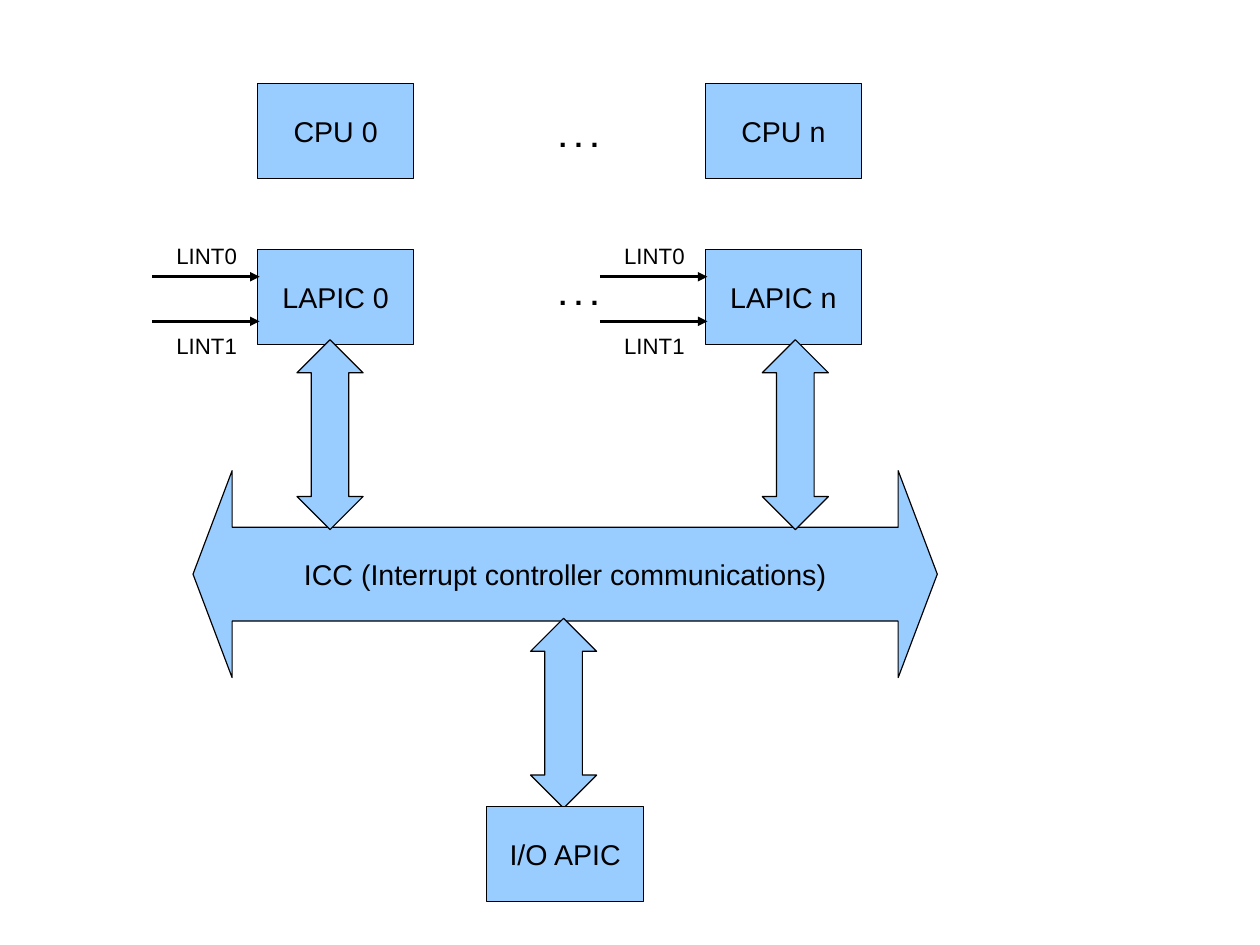
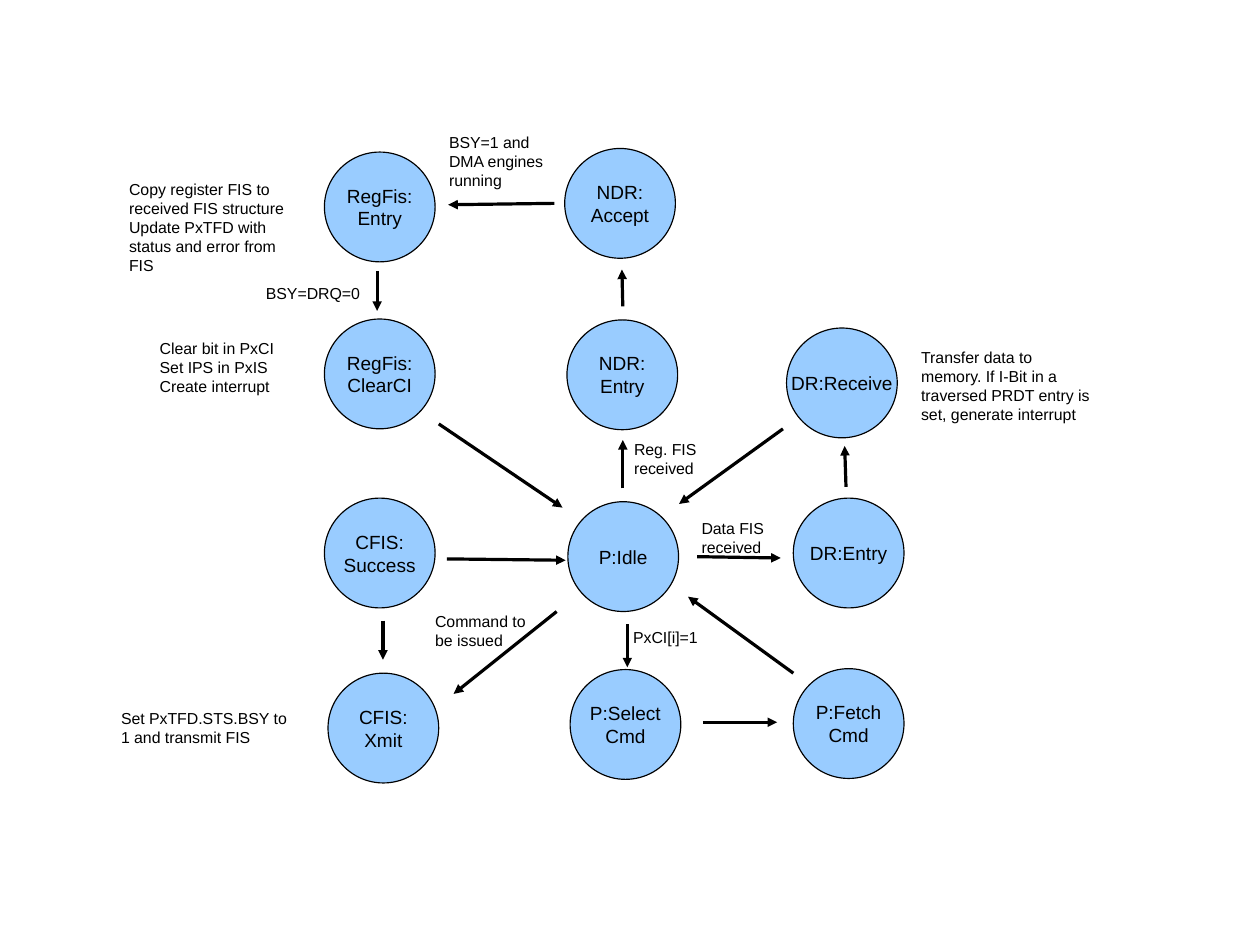
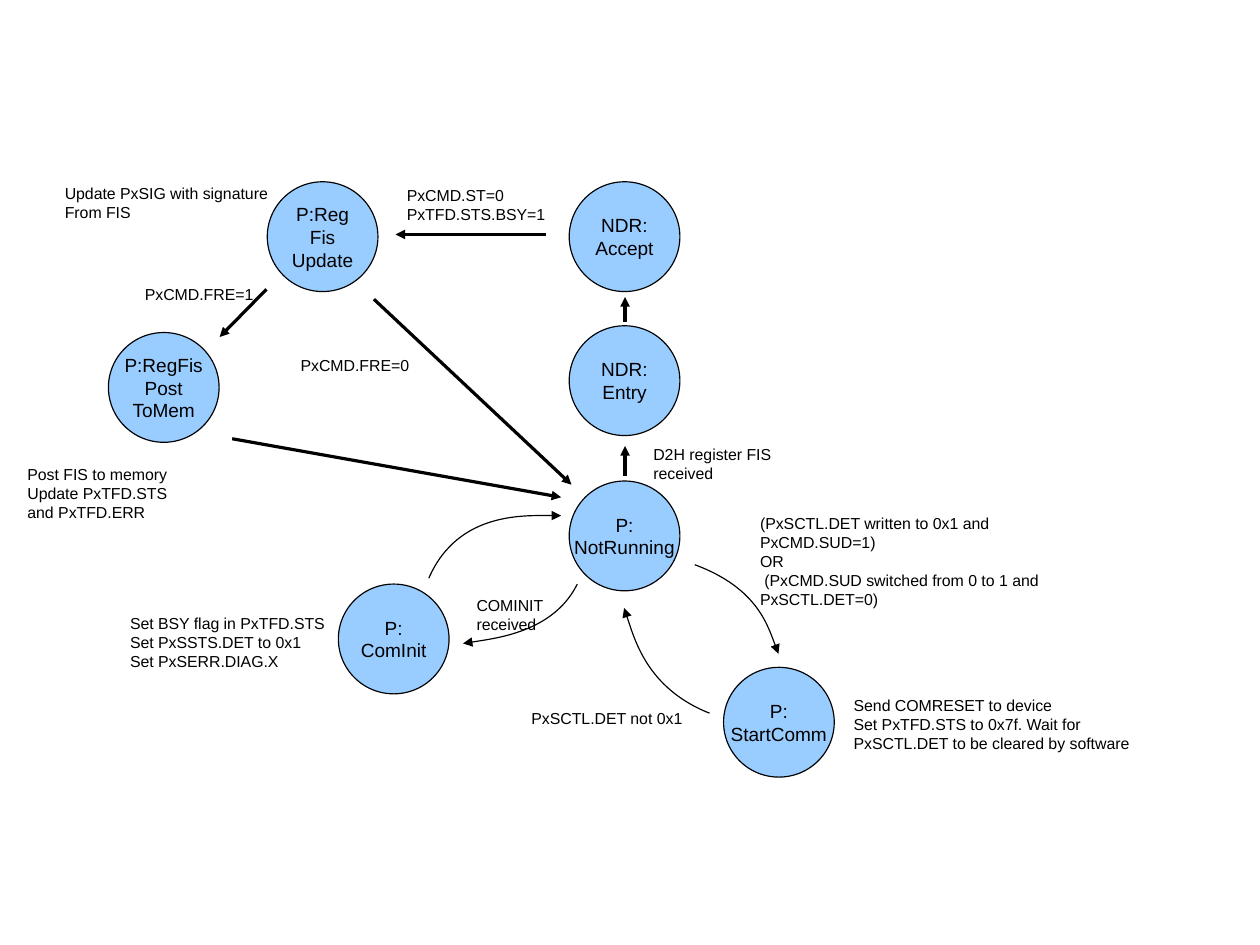
from pptx import Presentation
from pptx.dml.color import RGBColor
from pptx.enum.shapes import MSO_CONNECTOR, MSO_SHAPE
from pptx.enum.text import MSO_ANCHOR, MSO_AUTO_SIZE, PP_ALIGN
from pptx.oxml.ns import qn
from pptx.oxml.xmlchemy import OxmlElement
from pptx.util import Cm, Pt

BLUE = RGBColor(0x99, 0xCC, 0xFF)
BLACK = RGBColor(0, 0, 0)
FONT = "Arial"

# All lengths below are in centimetres
BOX_W, BOX_H = 3.48, 2.11
STATE_W, STATE_H = 2.46, 2.44
BUS_ARROW_W, BUS_ARROW_H = 1.47, 4.22

# Interrupt controllers: one column per CPU, one row per unit
CPU_COLUMNS = [("0", 5.72), ("n", 15.67)]
UNIT_ROWS = [("CPU", 1.85), ("LAPIC", 5.54)]
PIN_ROWS = [("LINT0", 6.15, 5.26), ("LINT1", 7.14, 7.26)]  # name, arrow y, label y
DOTS_X, DOTS_ROWS = 12.17, [2.51, 6.02]
ICC = ("ICC (Interrupt controller communications)", 4.29, 10.46, 16.54, 4.6)
BUS_ARROWS = [(6.6, 7.55), (16.94, 7.55), (11.79, 13.74)]
IO_APIC = ("I/O APIC", 10.82, 17.93)

# State machines
# states: text, left, top; labels: text, left, top, width, lines
# arrows: x1, y1, x2, y2; curves: start, control, end
RUNNING = {
    "states": [
        ("RegFis:\vEntry", 7.21, 3.38), ("NDR:\vAccept", 12.55, 3.3),
        ("RegFis:\vClearCI", 7.21, 7.09), ("NDR:\vEntry", 12.6, 7.11),
        ("DR:Receive", 17.48, 7.29),
        ("CFIS:\vSuccess", 7.21, 11.07), ("P:Idle", 12.62, 11.15),
        ("DR:Entry", 17.63, 11.07),
        ("CFIS:\vXmit", 7.29, 14.96), ("P:Select\vCmd", 12.67, 14.88),
        ("P:Fetch\vCmd", 17.63, 14.86),
    ],
    "arrows": [
        (12.32, 4.52, 9.96, 4.55), (8.38, 6.02, 8.38, 6.91),
        (13.84, 6.81, 13.82, 5.99), (9.75, 9.42, 12.5, 11.28),
        (13.84, 10.85, 13.84, 9.78), (17.4, 9.53, 15.09, 11.2),
        (18.8, 10.82, 18.77, 9.91), (9.93, 12.42, 12.57, 12.45),
        (15.49, 12.37, 17.35, 12.4), (8.51, 13.79, 8.51, 14.66),
        (12.37, 13.59, 10.08, 15.42), (13.94, 13.87, 13.94, 14.83),
        (17.63, 14.96, 15.29, 13.26), (15.62, 16.05, 17.27, 16.05),
    ],
    "curves": [],
    "labels": [
        ("Copy register FIS to received FIS structure\n"
         "Update PxTFD with status and error from FIS", 2.62, 3.86, 3.99, 5),
        ("BSY=1 and DMA engines running", 9.73, 2.82, 2.77, 3),
        ("BSY=DRQ=0", 5.66, 6.17, 2.77, 1),
        ("Clear bit in PxCI\nSet IPS in PxIS\nCreate interrupt", 3.3, 7.39, 3.99, 3),
        ("Reg. FIS\vreceived", 13.84, 9.65, 2.77, 2),
        ("Transfer data to memory. If I-Bit in a traversed PRDT entry is set, "
         "generate interrupt", 20.22, 7.59, 4.39, 4),
        ("Data FIS\nreceived", 15.34, 11.4, 2.03, 2),
        ("Command to\vbe issued", 9.42, 13.46, 3.1, 2),
        ("PxCI[i]=1", 13.82, 13.82, 2.03, 1),
        ("Set PxTFD.STS.BSY to 1 and transmit FIS", 2.44, 15.62, 4.39, 2),
    ],
}
NOTE_W = 6.88
NOT_RUNNING = {
    "states": [
        ("P:Reg\vFis\vUpdate", 5.94, 4.04), ("NDR:\vAccept", 12.65, 4.04),
        ("P:RegFis\vPost\vToMem", 2.41, 7.39), ("NDR:\vEntry", 12.65, 7.24),
        ("P:\vNotRunning", 12.65, 10.69), ("P:\vComInit", 7.52, 12.98),
        ("P:\vStartComm", 16.08, 14.83),
    ],
    "arrows": [
        (12.14, 5.21, 8.79, 5.21), (5.92, 6.43, 4.88, 7.49),
        (8.31, 6.65, 12.7, 10.77), (5.16, 9.75, 12.47, 11.05),
        (13.89, 7.16, 13.89, 6.6), (13.89, 10.57, 13.89, 9.91),
    ],
    "curves": [
        ((15.44, 12.55), (16.87, 13.08), (17.3, 14.53)),
        ((15.77, 15.85), (14.35, 15.29), (13.87, 13.51)),
        ((9.53, 12.85), (10.19, 11.33), (12.47, 11.46)),
        ((12.83, 12.98), (12.29, 14.07), (10.29, 14.3)),
    ],
    "labels": [
        ("Update PxSIG with signature\nFrom FIS", 1.19, 3.96, NOTE_W, 2),
        ("PxCMD.ST=0\nPxTFD.STS.BSY=1", 8.79, 3.99, NOTE_W, 2),
        ("PxCMD.FRE=1", 2.97, 6.2, NOTE_W, 1),
        ("PxCMD.FRE=0", 6.43, 7.77, NOTE_W, 1),
        ("Post FIS to memory\nUpdate PxTFD.STS\nand PxTFD.ERR", 0.36, 10.19, NOTE_W, 3),
        ("D2H register FIS\nreceived", 14.27, 9.75, NOTE_W, 2),
        ("(PxSCTL.DET written to 0x1 and PxCMD.SUD=1)\nOR\n"
         " (PxCMD.SUD switched from 0 to 1 and PxSCTL.DET=0)", 16.64, 11.28, NOTE_W, 5),
        ("COMINIT\vreceived", 10.34, 13.11, NOTE_W, 2),
        ("Set BSY flag in PxTFD.STS\nSet PxSSTS.DET to 0x1\nSet PxSERR.DIAG.X",
         2.64, 13.51, NOTE_W, 3),
        ("PxSCTL.DET not 0x1", 11.56, 15.62, NOTE_W, 1),
        ("Send COMRESET to device\nSet PxTFD.STS to 0x7f. Wait for PxSCTL.DET "
         "to be cleared by software", 18.72, 15.34, NOTE_W, 3),
    ],
}


def write(sp, text, size, bold=False, align=PP_ALIGN.LEFT):
    tf = sp.text_frame
    tf.text = text
    for p in tf.paragraphs:
        p.alignment = align
        for r in p.runs:
            r.font.name, r.font.size, r.font.bold = FONT, Pt(size), bold
            r.font.color.rgb = BLACK


def hairline(sp):
    sp.line.color.rgb = BLACK
    sp.line.width = 0


def add_head(sp):
    tail = OxmlElement("a:tailEnd")
    tail.set("type", "triangle")
    sp._element.spPr.find(qn("a:ln")).append(tail)


def add_block(s, kind, x, y, w, h, text="", size=18, adjust=()):
    sp = s.shapes.add_shape(kind, Cm(x), Cm(y), Cm(w), Cm(h))
    for i, value in enumerate(adjust):
        sp.adjustments[i] = value
    sp.fill.solid()
    sp.fill.fore_color.rgb = BLUE
    hairline(sp)
    sp.shadow.inherit = False
    if text:
        write(sp, text, size, align=PP_ALIGN.CENTER)
        sp.text_frame.word_wrap = False
        sp.text_frame.vertical_anchor = MSO_ANCHOR.MIDDLE


def add_label(s, text, x, y, w, h, size, bold=False):
    sp = s.shapes.add_textbox(Cm(x), Cm(y), Cm(w), Cm(h))
    write(sp, text, size, bold)
    sp.text_frame.word_wrap = True
    sp.text_frame.auto_size = MSO_AUTO_SIZE.SHAPE_TO_FIT_TEXT


def add_arrow(s, *ends):
    sp = s.shapes.add_connector(MSO_CONNECTOR.STRAIGHT, *map(Cm, ends))
    hairline(sp)
    add_head(sp)
    sp._element.spPr.append(OxmlElement("a:effectLst"))


def add_curve(s, *points):
    start, control, end = [(Cm(x), Cm(y)) for x, y in points]
    builder = s.shapes.build_freeform(*start)
    builder.add_line_segments([control, end, end], close=False)
    sp = builder.convert_to_shape()
    # Turn the three segments into one cubic curve
    segments = list(sp._element.iter(qn("a:lnTo")))
    cubic = OxmlElement("a:cubicBezTo")
    segments[0].addprevious(cubic)
    for segment in segments:
        cubic.append(segment[0])
        segment.getparent().remove(segment)
    sp.fill.background()
    hairline(sp)
    add_head(sp)
    sp.shadow.inherit = False


def draw_controllers(s):
    for number, x in CPU_COLUMNS:
        for unit, y in UNIT_ROWS:
            add_block(s, MSO_SHAPE.RECTANGLE, x, y, BOX_W, BOX_H, f"{unit} {number}")
        for pin, arrow_y, label_y in PIN_ROWS:
            add_arrow(s, x - 2.34, arrow_y, x + 0.05, arrow_y)
            add_label(s, pin, x - 2.05, label_y, 2, 0.81, 14)
    for y in DOTS_ROWS:
        add_label(s, ". . .", DOTS_X, y, 2.21, 0.97, 18, bold=True)
    # Bus and its links
    text, *place = ICC
    add_block(s, MSO_SHAPE.LEFT_RIGHT_ARROW, *place, text, adjust=(0.453, 0.189))
    for x, y in BUS_ARROWS:
        add_block(s, MSO_SHAPE.UP_DOWN_ARROW, x, y, BUS_ARROW_W, BUS_ARROW_H,
                  adjust=(0.5, 0.568))
    text, x, y = IO_APIC
    add_block(s, MSO_SHAPE.RECTANGLE, x, y, BOX_W, BOX_H, text)


def draw_machine(s, machine):
    for text, x, y in machine["states"]:
        add_block(s, MSO_SHAPE.FLOWCHART_CONNECTOR, x, y, STATE_W, STATE_H, text, 12)
    for ends in machine["arrows"]:
        add_arrow(s, *ends)
    for points in machine["curves"]:
        add_curve(s, *points)
    for text, x, y, w, lines in machine["labels"]:
        add_label(s, text, x, y, w, 0.25 + 0.39 * lines, 10)


def main():
    prs = Presentation()
    prs.slide_width, prs.slide_height = Cm(28), Cm(21)
    blank = prs.slide_layouts[6]
    draw_controllers(prs.slides.add_slide(blank))
    for machine in (RUNNING, NOT_RUNNING):
        draw_machine(prs.slides.add_slide(blank), machine)
    prs.save("out.pptx")


if __name__ == "__main__":
    main()
